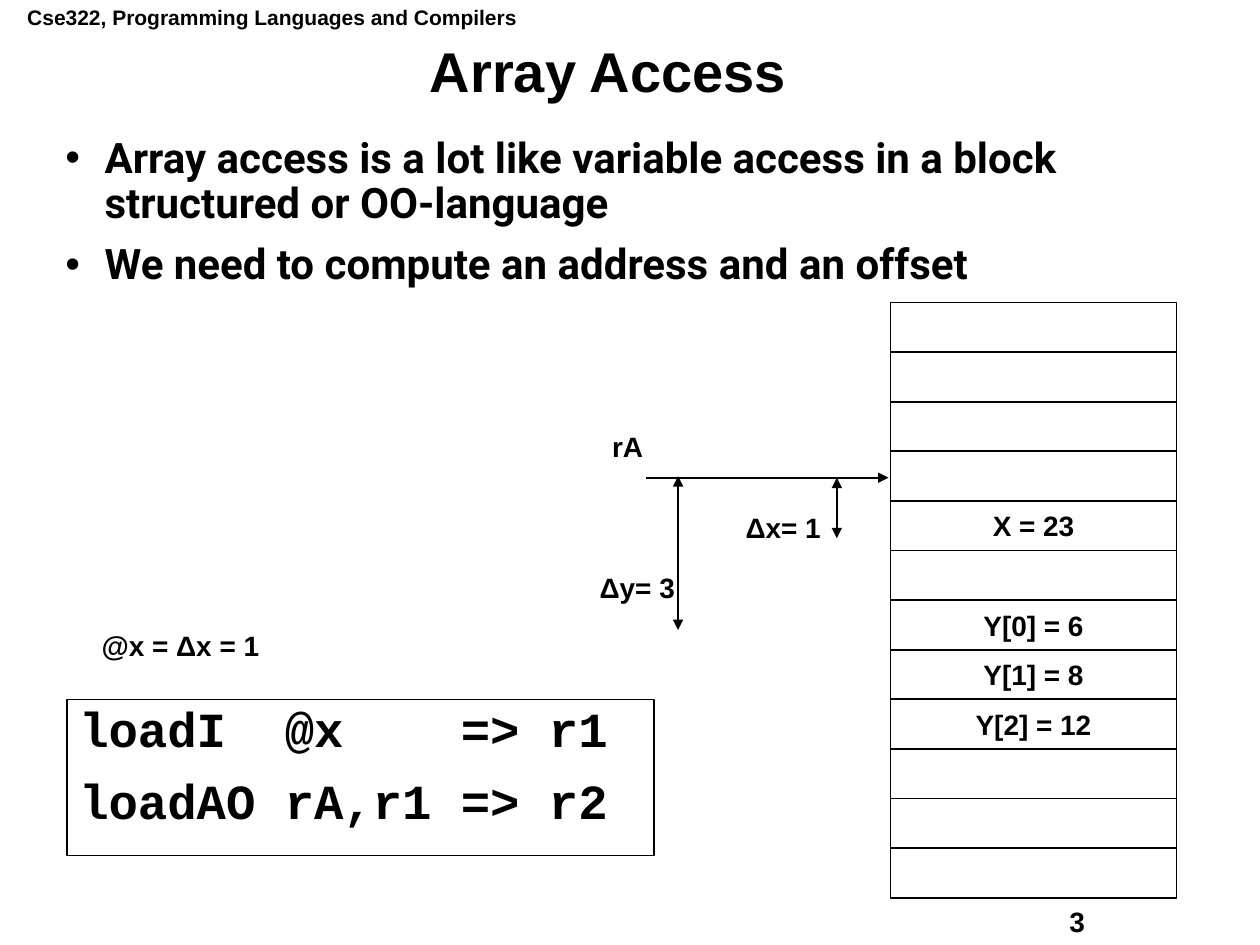
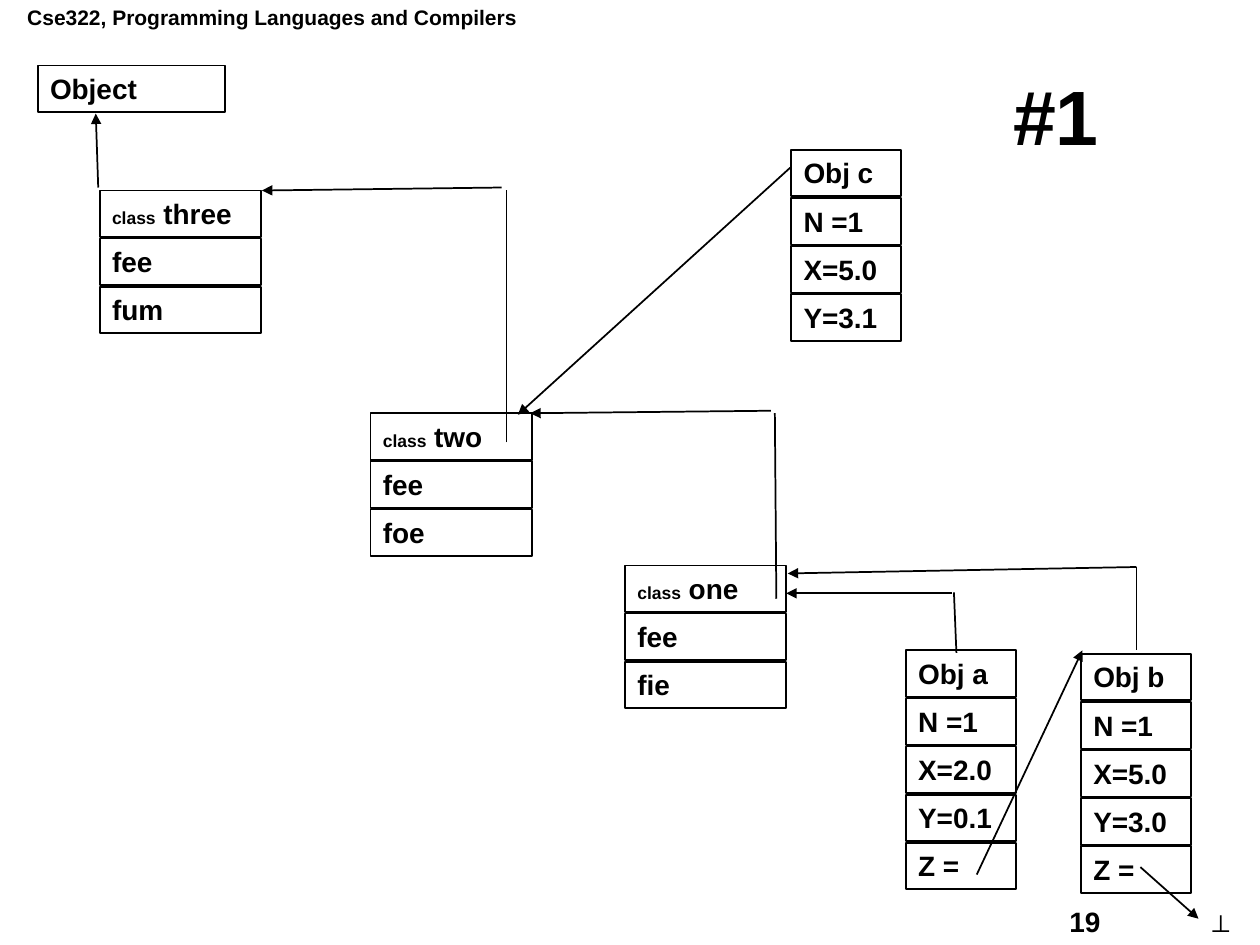
from dataclasses import dataclass

from lxml import etree
from pptx import Presentation
from pptx.dml.color import RGBColor
from pptx.enum.shapes import MSO_CONNECTOR, MSO_SHAPE
from pptx.enum.text import MSO_ANCHOR, MSO_AUTO_SIZE, PP_ALIGN
from pptx.oxml.ns import qn
from pptx.util import Cm, Pt

RECT, LINE = MSO_SHAPE.RECTANGLE, MSO_CONNECTOR.STRAIGHT
TOP, MIDDLE = MSO_ANCHOR.TOP, MSO_ANCHOR.MIDDLE
LEFT, CENTER = PP_ALIGN.LEFT, PP_ALIGN.CENTER
FIXED = MSO_AUTO_SIZE.NONE


@dataclass(frozen=True)
class Theme:
    ink: RGBColor = RGBColor(0, 0, 0)
    paper: RGBColor = RGBColor(255, 255, 255)
    sans: str = "Arial"
    body: str = "Roboto"
    mono: str = "Courier New"
    tiny: Pt = Pt(10)
    head: Pt = Pt(12)
    label: Pt = Pt(16)
    point: Pt = Pt(24)
    code: Pt = Pt(28)
    title: Pt = Pt(32)
    mark: Pt = Pt(44)
    line: Pt = Pt(1)


theme = Theme()


def box(slide, at, text="", size=theme.label, font=theme.sans, align=LEFT,
        anchor=TOP, frame=False, fill=False, gap=0, space=1, bullet=False):
    """Add a text box, or a framed rectangle, with one paragraph per line."""
    place = [Cm(n) for n in at]
    if frame:
        shape = slide.shapes.add_shape(RECT, *place)
        shape.shadow.inherit = False
        shape.line.color.rgb = theme.ink
        shape.line.width = theme.line
        if fill:
            shape.fill.solid()
            shape.fill.fore_color.rgb = theme.paper
        else:
            shape.fill.background()
    else:
        shape = slide.shapes.add_textbox(*place)
    area = shape.text_frame
    area.word_wrap = True
    area.vertical_anchor = anchor
    area.text = text
    for i, para in enumerate(area.paragraphs):
        para.alignment = align
        para.line_spacing = space
        para.space_before = Pt(gap if i else 0)
        if bullet:
            props = para._p.get_or_add_pPr()
            props.set("marL", str(Cm(0.79)))
            props.set("indent", str(-Cm(0.79)))
            etree.SubElement(props, qn("a:buFont"), typeface=theme.sans)
            etree.SubElement(props, qn("a:buChar"), char="•")
        para.font.name = font
        para.font.size = size
        para.font.bold = True
        para.font.color.rgb = theme.ink
    return shape


def link(slide, ends, tips=("tailEnd",)):
    """Draw a line between two points, with arrowheads at the given tips."""
    wire = slide.shapes.add_connector(LINE, *[Cm(n) for n in ends])
    wire.line.color.rgb = theme.ink
    wire.line.width = theme.line
    props = wire._element.spPr
    for tip in tips:
        etree.SubElement(props.find(qn("a:ln")), qn(f"a:{tip}"), type="triangle")
    etree.SubElement(props, qn("a:effectLst"))


deck = Presentation()
deck.slide_width, deck.slide_height = Cm(25.4), Cm(19.05)
layout = deck.slide_layouts.get_by_name("Title Only")

# Parts that both slides share: course line, page number, title
pages = []
for name, number, at, size, align in [
    ("Array Access", "3", (0.79, 0.79, 22.94, 1.42), theme.title, CENTER),
    ("#1", "19", (20.17, 1.37, 4.39, 2.13), theme.mark, LEFT),
]:
    slide = deck.slides.add_slide(layout)
    title = slide.shapes.title
    title.left, title.top, title.width, title.height = [Cm(n) for n in at]
    title.text = name
    title.text_frame.auto_size = FIXED
    title.text_frame.vertical_anchor = MIDDLE
    para = title.text_frame.paragraphs[0]
    para.alignment = align
    para.line_spacing = 0.9
    para.font.name = theme.sans
    para.font.size = size
    para.font.bold = True
    para.font.color.rgb = theme.ink
    box(slide, (0.3, -0.03, 11, 0.76),
        "Cse322, Programming Languages and Compilers", theme.head)
    box(slide, (21.31, 18.11, 2.5, 0.91), number)
    pages.append(slide)
access, graph = pages

# Array access: points, memory column, offsets, code
box(access, (1.07, 2.64, 22.66, 4.11),
    "Array access is a lot like variable access in a block structured or OO-language\n"
    "We need to compute an address and an offset",
    theme.point, theme.body, gap=9, space=0.9, bullet=True)

cells = {4: "X = 23", 6: "Y[0] = 6", 7: "Y[1] = 8", 8: "Y[2] = 12"}
for row in range(12):
    box(access, (17.95, 6.1 + row, 5.77, 1), cells.get(row, ""),
        align=CENTER, anchor=MIDDLE, frame=True, fill=True)

link(access, (13.03, 9.63, 17.91, 9.63))
for x, top, end in [(16.87, 9.63, 10.85), (13.67, 9.6, 12.7)]:
    link(access, (x, top, x, end), ("headEnd", "tailEnd"))
for text, x, y, width in [
    ("rA", 12.09, 8.53, 3.45),
    ("Δx= 1", 14.78, 10.16, 2.41),
    ("Δy= 3", 11.84, 11.38, 2.41),
    ("@x = Δx = 1", 1.8, 12.55, 4.19),
]:
    box(access, (x, y, width, 0.94), text)
box(access, (1.35, 14.1, 11.84, 3.15), "loadI  @x    => r1\nloadAO rA,r1 => r2",
    theme.code, theme.mono, frame=True, gap=10.5, space=0.9)

# Object graph: stacks of cells for classes and objects
step, high = 0.97, 0.94
box(graph, (0.76, 1.32, 3.78, high), "Object", frame=True)
for name, x, y, slots in [
    ("three", 2.01, 3.84, ["fee", "fum"]),
    ("two", 7.47, 8.33, ["fee", "foe"]),
    ("one", 12.6, 11.4, ["fee", "fie"]),
]:
    top = box(graph, (x, y, 3.25, high), "class", theme.tiny, frame=True)
    run = top.text_frame.paragraphs[0].add_run()
    run.text = f" {name}"
    run.font.size = theme.label
    for i, slot in enumerate(slots, 1):
        box(graph, (x, y + i * step, 3.25, high), slot, frame=True)

for x, y, slots in [
    (18.26, 13.11, ["Obj a", "N =1", "X=2.0", "Y=0.1", "Z ="]),
    (15.95, 3.02, ["Obj c", "N =1", "X=5.0", "Y=3.1"]),
    (21.79, 13.18, ["Obj b", "N =1", "X=5.0", "Y=3.0", "Z ="]),
]:
    for i, slot in enumerate(slots):
        box(graph, (x, y + i * step, 2.22, high), slot, frame=True)

box(graph, (24.08, 18.11, 0.97, high), "⊥")

for ends in [
    (1.98, 3.78, 1.93, 2.29),
    (10.11, 3.78, 5.28, 3.84),
    (15.54, 8.28, 10.69, 8.33),
    (19.2, 11.96, 15.85, 11.96),
    (22.91, 11.43, 15.88, 11.56),
    (15.93, 3.38, 10.44, 8.36),
    (19.69, 17.63, 21.82, 13.11),
    (22.99, 17.48, 24.16, 18.52),
]:
    link(graph, ends)
for ends in [
    (10.21, 8.92, 10.21, 3.84),
    (15.65, 12.07, 15.62, 8.33),
    (19.23, 11.94, 19.28, 13.16),
    (22.91, 11.43, 22.91, 13.11),
]:
    link(graph, ends, ())

deck.save("out.pptx")
